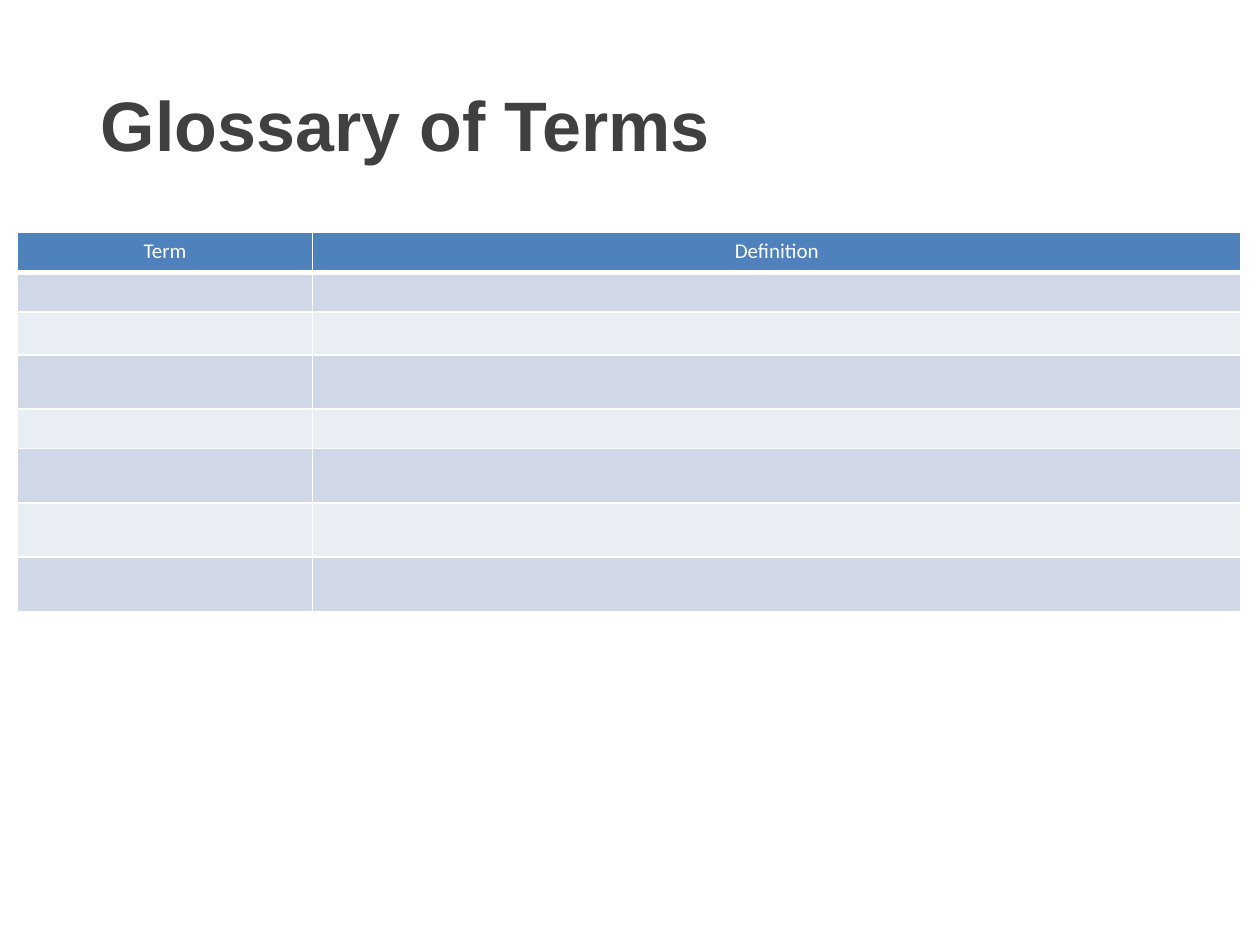
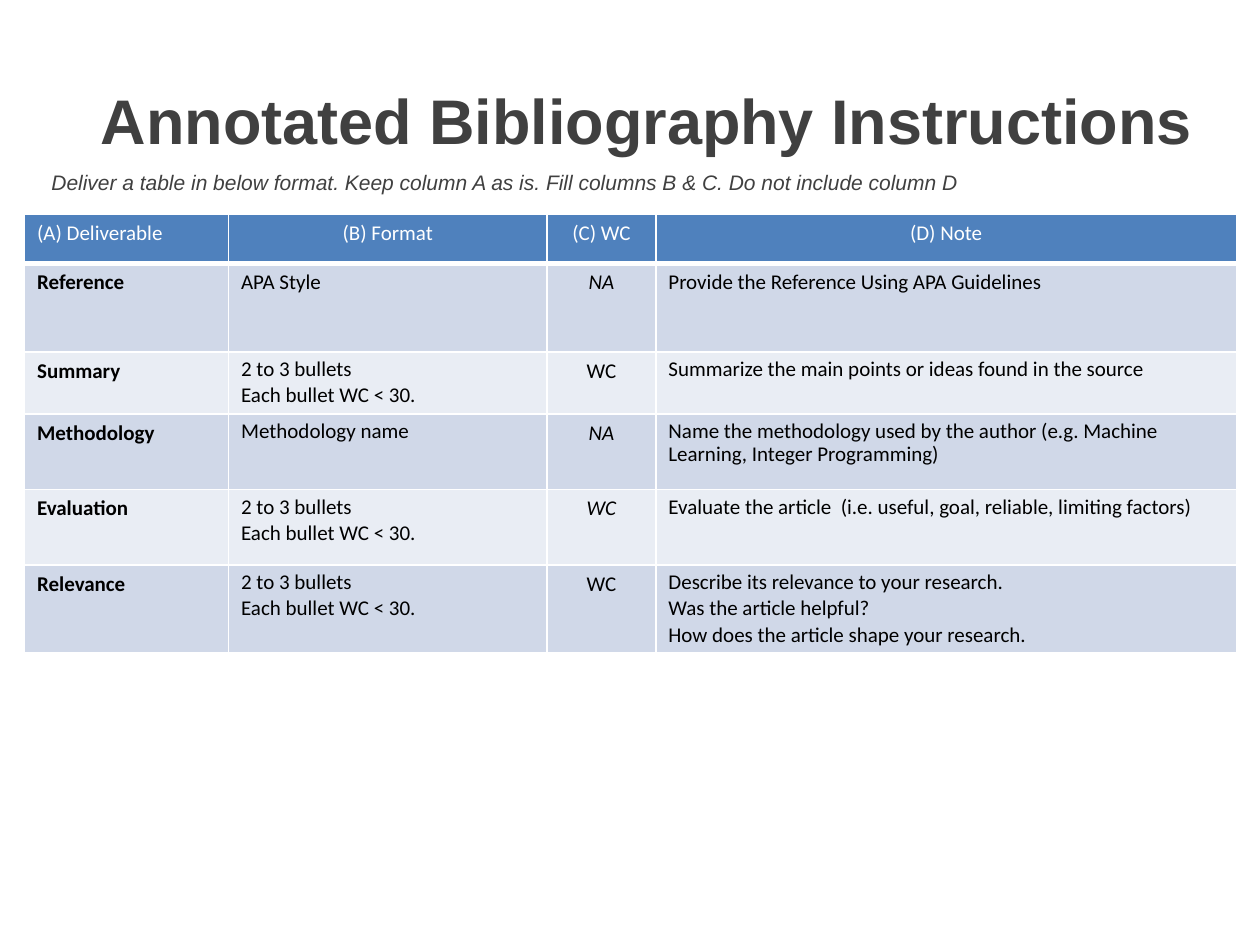
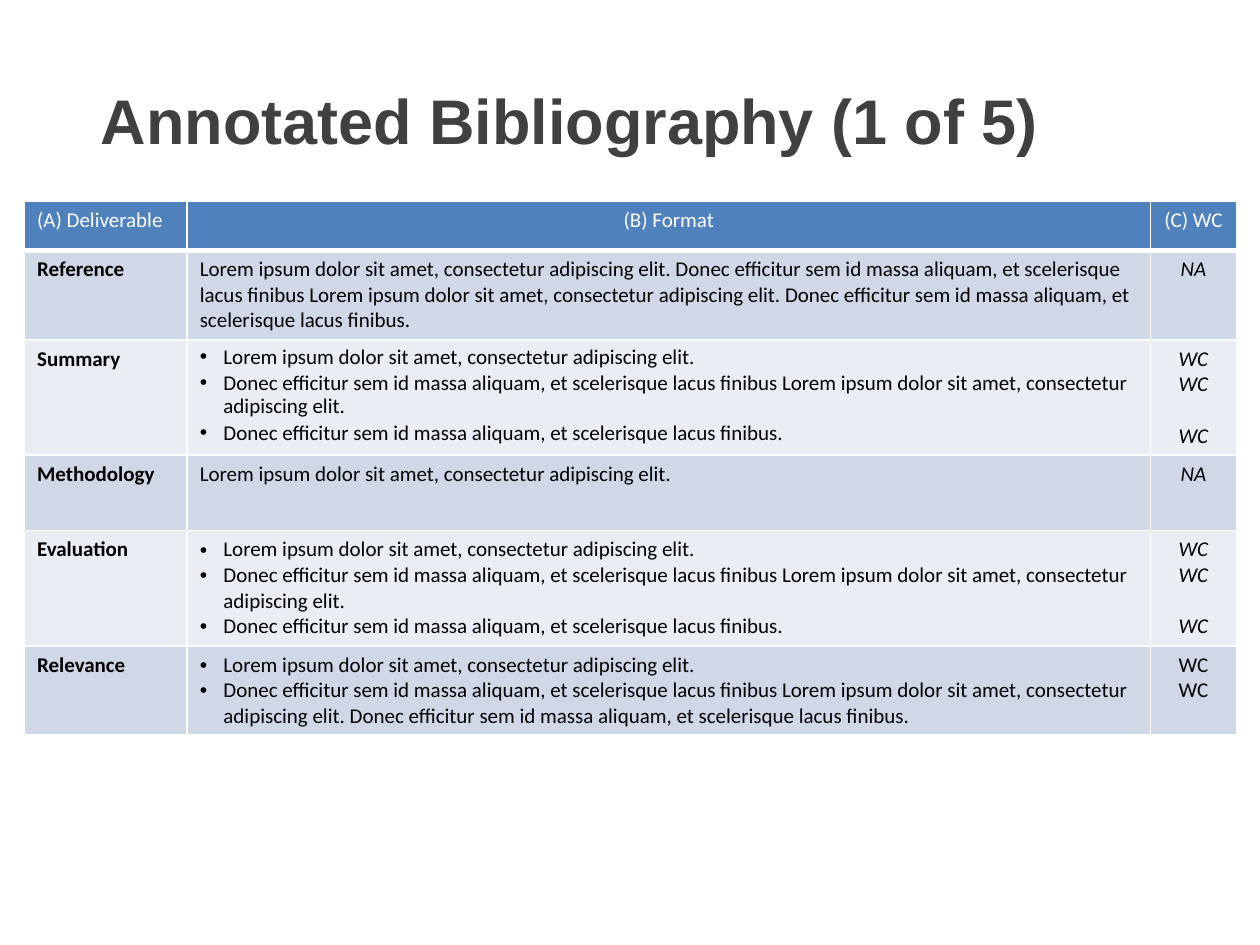
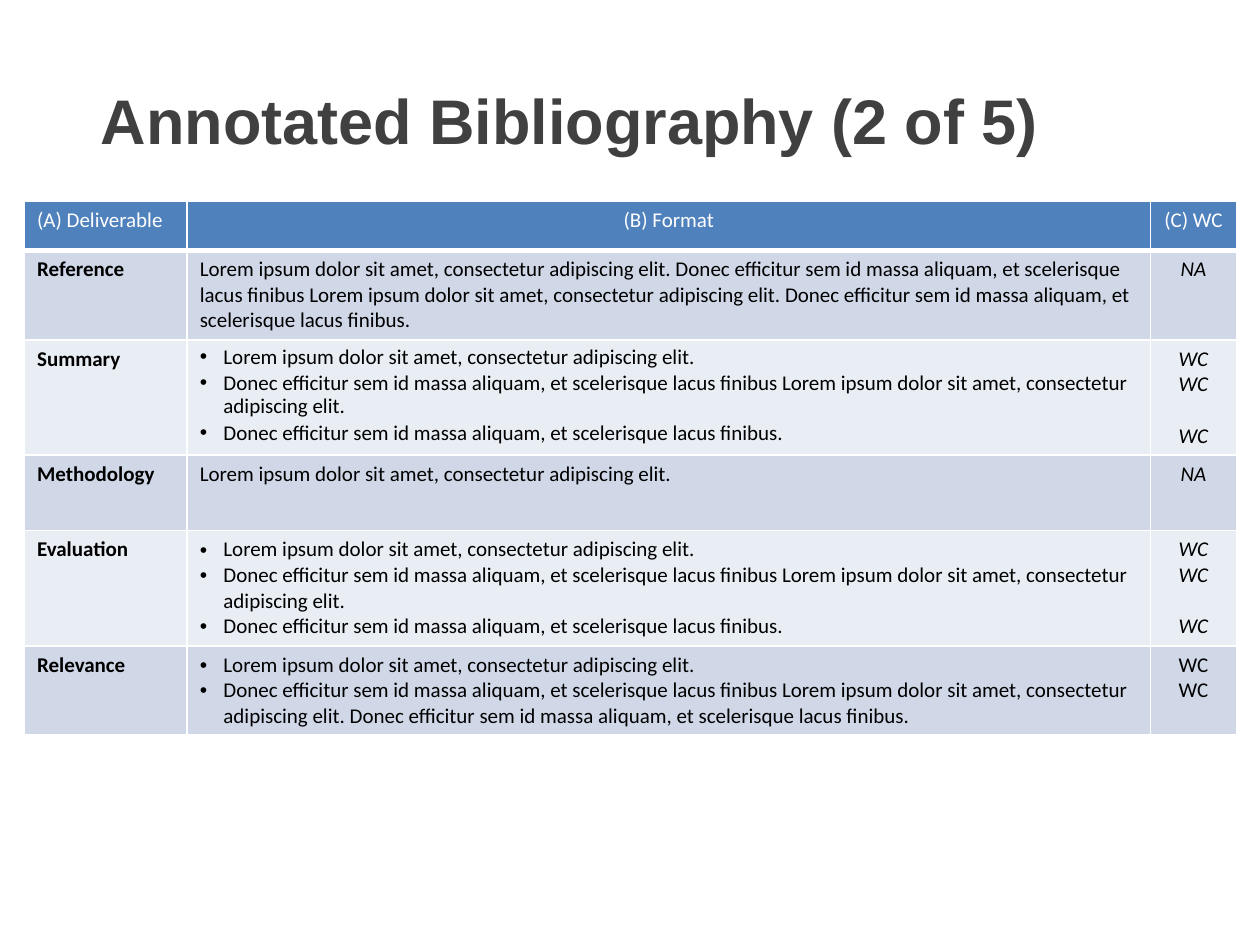
"""Build the glossary and annotated bibliography slides."""
from dataclasses import dataclass

from lxml import etree
from pptx import Presentation
from pptx.dml.color import RGBColor
from pptx.enum import text
from pptx.oxml.ns import qn
from pptx.util import Pt


@dataclass(frozen=True)
class Theme:
    heading: RGBColor = RGBColor(0x40, 0x40, 0x40)
    header: RGBColor = RGBColor(0x4F, 0x81, 0xBD)
    bands: tuple = (RGBColor(0xE9, 0xED, 0xF4), RGBColor(0xD0, 0xD8, 0xE8))
    white: RGBColor = RGBColor(0xFF, 0xFF, 0xFF)
    black: RGBColor = RGBColor(0, 0, 0)
    heading_font: str = "Arial"
    body_font: str = "Calibri"
    glossary_title: int = 40
    title: int = 36
    body: int = 12
    line: float = 14.65


T = Theme()
CENTER = text.PP_ALIGN.CENTER


def style(p, name, size, color, bold=False, italic=False):
    f = p.font
    f.name, f.size, f.bold, f.italic = name, Pt(size), bold, italic
    f.color.rgb = color


def add_table_slide(title, title_size, title_width, box, cols, heights, rows):
    s = prs.slides.add_slide(prs.slide_layouts[5])
    sp = s.shapes.title
    sp.left, sp.top, sp.width, sp.height = Pt(50.4), Pt(39.6), Pt(title_width), Pt(82.8)
    tf = sp.text_frame
    tf.text = title
    tf.word_wrap = True
    tf.auto_size = text.MSO_AUTO_SIZE.NONE
    tf.vertical_anchor = text.MSO_ANCHOR.TOP
    tf.margin_top = Pt(7.2)
    p = tf.paragraphs[0]
    p.alignment = text.PP_ALIGN.LEFT
    style(p, T.heading_font, title_size, T.heading, bold=True)

    frame = s.shapes.add_table(len(rows), len(cols), *map(Pt, box))
    table = frame.table
    for column, width in zip(table.columns, cols):
        column.width = Pt(width)
    for row, height in zip(table.rows, heights):
        row.height = Pt(height)
    frame.height = Pt(box[3])

    for i, row in enumerate(rows):
        for j, value in enumerate(row):
            cell = table.cell(i, j)
            tcPr = cell._tc.get_or_add_tcPr()
            for side in "LRTB":
                width = 3 if i == 0 and side == "B" else 1
                ln = etree.SubElement(tcPr, qn(f"a:ln{side}"), w=str(Pt(width)))
                fill = etree.SubElement(ln, qn("a:solidFill"))
                etree.SubElement(fill, qn("a:srgbClr"), val=str(T.white))
            cell.fill.solid()
            cell.fill.fore_color.rgb = T.bands[i % 2] if i else T.header
            cell.text_frame.text = value
            for p in cell.text_frame.paragraphs:
                style(p, T.body_font, T.body, T.white if i == 0 else T.black,
                      bold=i > 0 and j == 0)
                if not value:
                    etree.SubElement(p._p, qn("a:endParaRPr"), sz=str(T.body * 100))
                if (i == 0 and (j or value == "Term")) or rows[0][j] == "(C) WC":
                    p.alignment = CENTER
    return s, table


prs = Presentation()
prs.slide_width, prs.slide_height = Pt(720), Pt(540)

add_table_slide(
    "Glossary of Terms", T.glossary_title, 620, (10.1, 132.9, 699.1, 216), (168.5, 530.6),
    (22.7, 22.7, 24.5, 31, 22.7, 31, 31, 31),
    [("Term", "Definition")] + [("", "")] * 7)

ROW_HEIGHTS = (28, 50.4, 28, 43.2, 43.2, 28)
BULLETS = "2 to 3 bullets\nEach bullet WC < 30."
s, table = add_table_slide(
    "Annotated Bibliography Instructions", T.title, 649.4,
    (14, 122.7, 692.6, 249.8), (116.6, 182, 62.2, 331.8), ROW_HEIGHTS,
    [("(A) Deliverable", "(B) Format", "(C) WC", "(D) Note"),
     ("Reference", "APA Style", "NA", "Provide the Reference Using APA Guidelines"),
     ("Summary", BULLETS, "WC", "Summarize the main points or ideas found in the source"),
     ("Methodology", "Methodology name", "NA",
      "Name the methodology used by the author (e.g. Machine Learning, Integer Programming)"),
     ("Evaluation", BULLETS, "WC",
      "Evaluate the article  (i.e. useful, goal, reliable, limiting factors)"),
     ("Relevance", BULLETS, "WC",
      "Describe its relevance to your research.\nWas the article helpful?\n"
      "How does the article shape your research.")])
for i in (1, 3, 4):
    table.cell(i, 2).text_frame.paragraphs[0].font.italic = True
for i in range(2, 6):
    for j in (1, 3):
        for p in table.cell(i, j).text_frame.paragraphs:
            p.line_spacing, p.space_after = 0.9, Pt(1.8)

tf = s.shapes.add_textbox(Pt(22.3), Pt(93.6), Pt(702.7), Pt(20.2)).text_frame
tf.word_wrap = True
tf.text = ("Deliver a table in below format. Keep column A as is. "
           "Fill columns B & C. Do not include column D")
style(tf.paragraphs[0], T.heading_font, T.body, T.heading, italic=True)

LOREM = "Lorem ipsum dolor sit amet, consectetur adipiscing elit."
DONEC = "Donec efficitur sem id massa aliquam, et scelerisque lacus finibus"
POINTS = f"{LOREM}\n{DONEC} {LOREM}\n{DONEC}."
for number in (1, 2):
    s, table = add_table_slide(
        f"Annotated Bibliography ({number} of 5)", T.title, 649.4,
        (14, 115.2, 692.6, 301.7), (93, 550.4, 49.2), ROW_HEIGHTS,
        [("(A) Deliverable", "(B) Format", "(C) WC"),
         ("Reference", f"{LOREM} {DONEC} {LOREM} {DONEC}.", "NA"),
         ("Summary", POINTS, "WC\nWC\nWC"),
         ("Methodology", LOREM, "NA"),
         ("Evaluation", POINTS, "WC\nWC\nWC"),
         ("Relevance", f"{LOREM}\n{DONEC} {LOREM} {DONEC}.", "WC\nWC")])
    for i in range(1, 5):
        for p in table.cell(i, 2).text_frame.paragraphs:
            p.font.italic = True
    for i in (2, 4):
        table.cell(i, 2).text_frame.paragraphs[2].space_before = Pt(T.line)
    for i in (2, 4, 5):
        for p in table.cell(i, 1).text_frame.paragraphs:
            if i == 2:
                p.line_spacing, p.space_after = 0.9, Pt(1.8)
            pPr = p._p.get_or_add_pPr()
            pPr.set("marL", str(Pt(13.5)))
            pPr.set("indent", str(-Pt(13.5)))
            defaults = pPr.find(qn("a:defRPr"))
            defaults.addprevious(etree.Element(qn("a:buFont"), typeface=T.heading_font))
            defaults.addprevious(etree.Element(qn("a:buChar"), char="•"))

prs.save("out.pptx")
